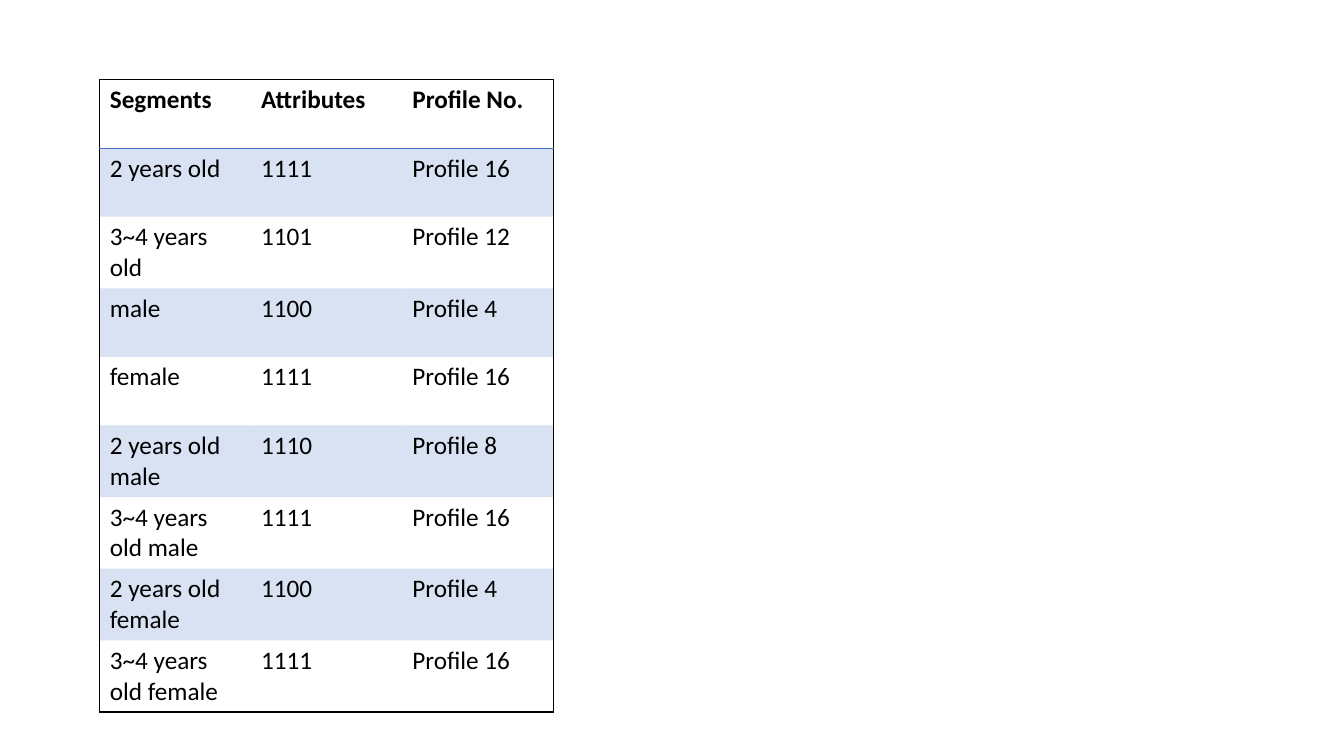
from lxml.etree import SubElement
from pptx import Presentation
from pptx.dml.color import RGBColor
from pptx.oxml.ns import qn
from pptx.util import Inches, Pt

# Content
HEADER = ("Segments", "Attributes", "Profile No.")
SEGMENTS = [
    ("2 years old", "1111", "Profile 16"),
    ("3~4 years old", "1101", "Profile 12"),
    ("male", "1100", "Profile 4"),
    ("female", "1111", "Profile 16"),
    ("2 years old male", "1110", "Profile 8"),
    ("3~4 years old male", "1111", "Profile 16"),
    ("2 years old female", "1100", "Profile 4"),
    ("3~4 years old female", "1111", "Profile 16"),
]

# Theme and grid
THEME = {"font": "Calibri", "size": 18, "text": "000000", "frame": "000000",
         "accent": "4472C4", "band_opacity": 20, "line": 1}
NO_GRID_STYLE = "{2D5ABB26-0587-4C30-8999-92F81FD0307C}"
LEFT, TOP = 0.99, 0.79
COLUMN_WIDTH, ROW_HEIGHT = 1.5, 0.68


def write_text(text_frame, text, bold=False, size=THEME["size"], color=THEME["text"]):
    run = text_frame.paragraphs[0].add_run()
    run.text = text
    run.font.name = THEME["font"]
    run.font.size = Pt(size)
    run.font.bold = bold
    run.font.color.rgb = RGBColor.from_string(color)


def draw_borders(cell, borders):
    """Add the cell's edges, in the order left, right, top, bottom."""
    properties = cell._tc.get_or_add_tcPr()
    for edge in ("L", "R", "T", "B"):
        if edge in borders:
            line = SubElement(properties, qn(f"a:ln{edge}"), w=str(Pt(THEME["line"])))
            fill = SubElement(line, qn("a:solidFill"))
            SubElement(fill, qn("a:srgbClr"), val=borders[edge])


def fill_band(cell):
    cell.fill.solid()
    cell.fill.fore_color.rgb = RGBColor.from_string(THEME["accent"])
    color = cell._tc.tcPr.find(qn("a:solidFill")).find(qn("a:srgbClr"))
    SubElement(color, qn("a:alpha"), val=str(THEME["band_opacity"] * 1000))


presentation = Presentation()
presentation.slide_width = Inches(13.33)
presentation.slide_height = Inches(7.5)
slide = presentation.slides.add_slide(presentation.slide_layouts[6])

# Segment table
rows = [HEADER] + SEGMENTS
last_row, last_column = len(rows) - 1, len(HEADER) - 1
table_frame = slide.shapes.add_table(
    len(rows), len(HEADER), Inches(LEFT), Inches(TOP),
    Inches(COLUMN_WIDTH * len(HEADER)), Inches(ROW_HEIGHT * len(rows)))
table = table_frame.table
table._tbl.tblPr.find(qn("a:tableStyleId")).text = NO_GRID_STYLE
for column in table.columns:
    column.width = Inches(COLUMN_WIDTH)
for row in table.rows:
    row.height = Inches(ROW_HEIGHT)

# Cells: outer frame, header rule and alternating bands
for row_index, values in enumerate(rows):
    for column_index, value in enumerate(values):
        cell = table.cell(row_index, column_index)
        write_text(cell.text_frame, value, bold=row_index == 0)
        borders = {}
        if column_index == 0:
            borders["L"] = THEME["frame"]
        if column_index == last_column:
            borders["R"] = THEME["frame"]
        if row_index == 0:
            borders.update(T=THEME["frame"], B=THEME["accent"])
        if row_index == last_row:
            borders["B"] = THEME["frame"]
        draw_borders(cell, borders)
        if row_index % 2:
            fill_band(cell)
        else:
            cell.fill.background()

presentation.save("out.pptx")
